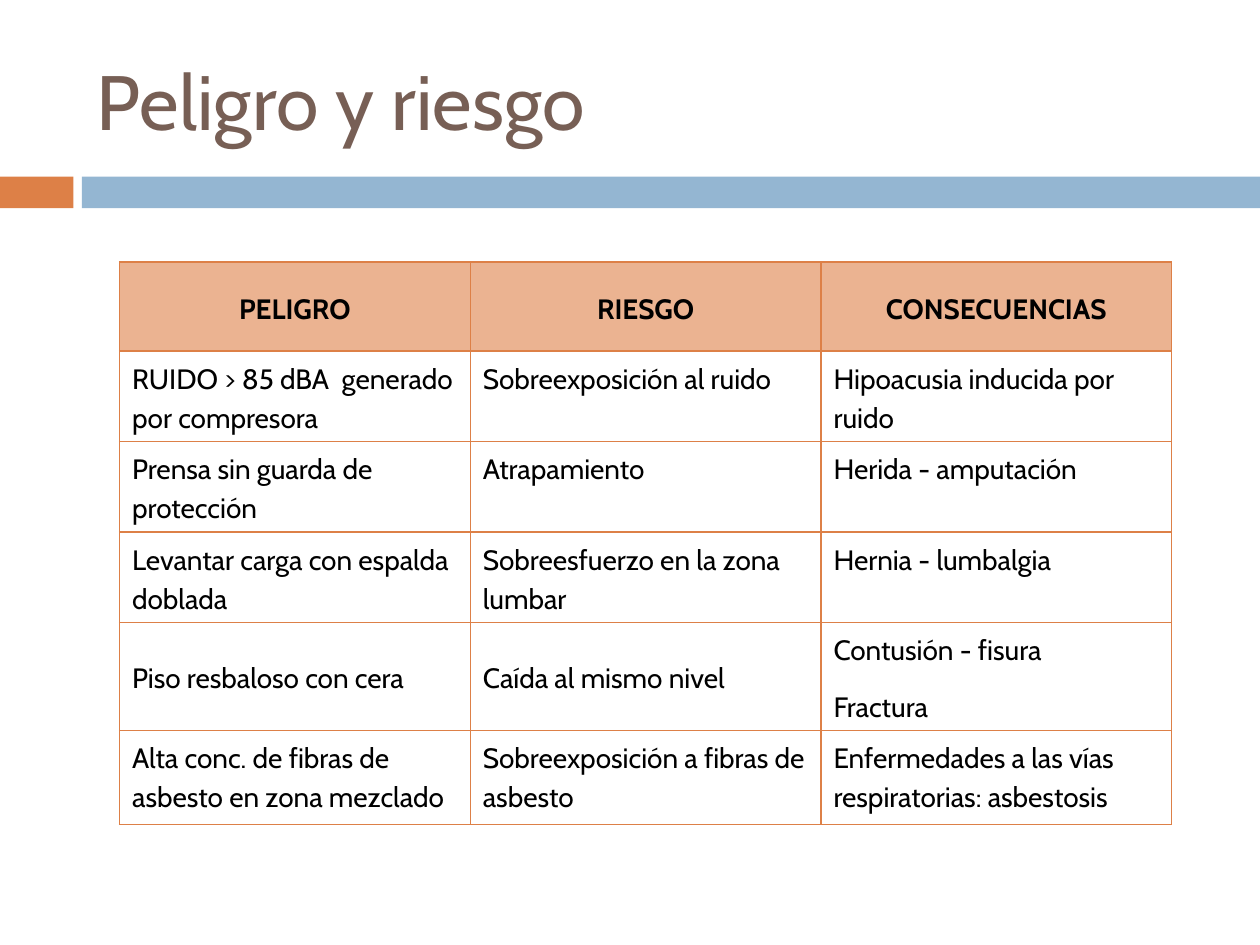
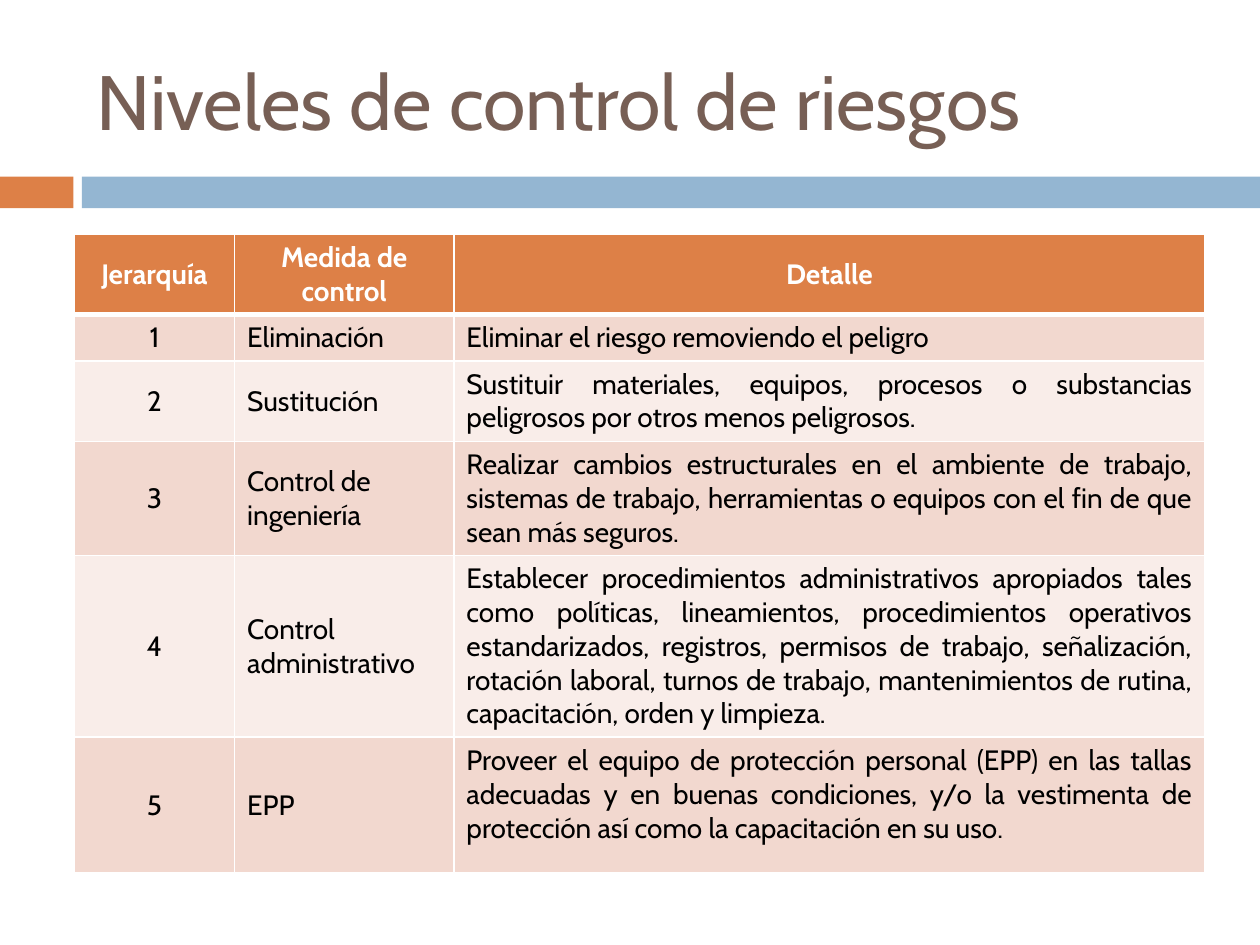
from dataclasses import dataclass

from lxml.etree import SubElement
from pptx import Presentation
from pptx.dml.color import RGBColor as Color
from pptx.enum.shapes import MSO_SHAPE as Shape
from pptx.enum.text import MSO_ANCHOR as Anchor, PP_ALIGN as Align
from pptx.oxml.ns import qn
from pptx.util import Cm, Pt


@dataclass(frozen=True)
class Theme:
    font: str = "Cabin"
    title_size: int = 44
    table_size: int = 16
    title: str = "775F55"
    orange: str = "DD8047"
    blue: str = "94B6D2"
    peach: str = "EBB391"
    band_dark: str = "F2D8CF"
    band_light: str = "F9EDE9"
    black: str = "000000"
    white: str = "FFFFFF"


theme = Theme()


def add_table_page(title, left, top, widths, heights, rows):
    """Add a page with its title and an unstyled table; return the table."""
    page = deck.slides.add_slide(layout)
    page.shapes.title.text_frame.text = title
    para = page.shapes.title.text_frame.paragraphs[0]
    para.alignment = Align.LEFT
    para.font.name = theme.font
    para.font.size = Pt(theme.title_size)
    para.font.color.rgb = Color.from_string(theme.title)
    frame = page.shapes.add_table(len(rows), len(widths), Cm(left), Cm(top),
                                  Cm(sum(widths)), Cm(sum(heights)))
    table = frame.table
    table.horz_banding = False
    for column, width in zip(table.columns, widths):
        column.width = Cm(width)
    for row, height, texts in zip(table.rows, heights, rows):
        row.height = Cm(height)
        for cell, text in zip(row.cells, texts):
            cell.text_frame.text = text
    return table


def style_cell(cell, anchor, align, color, bold, fill, border, thick_side=None):
    """Format text, fill and borders; thick_side is drawn 3 pt wide."""
    cell.vertical_anchor = anchor
    for para in cell.text_frame.paragraphs:
        para.alignment = align
        for span in para.runs:
            span.font.name = theme.font
            span.font.size = Pt(theme.table_size)
            span.font.bold = bold
            span.font.color.rgb = Color.from_string(color)
    properties = cell._tc.get_or_add_tcPr()
    for side in "LRTB":
        width = Pt(3 if side == thick_side else 1)
        line = SubElement(properties, qn(f"a:ln{side}"), w=str(width))
        solid = SubElement(line, qn("a:solidFill"))
        SubElement(solid, qn("a:srgbClr"), val=border)
    if fill:
        cell.fill.solid()
        cell.fill.fore_color.rgb = Color.from_string(fill)
    else:
        cell.fill.background()


deck = Presentation()
deck.slide_width, deck.slide_height = Cm(25.4), Cm(19.05)

# Shared layout: title position and the two bands below it
layout = deck.slide_layouts.get_by_name("Title Only")
for holder in list(layout.placeholders):
    if holder.placeholder_format.idx == 0:
        holder.left, holder.top = Cm(1.7), Cm(0.64)
        holder.width, holder.height = Cm(22.66), Cm(2.74)
        holder.text_frame.vertical_anchor = Anchor.MIDDLE
    else:
        holder.element.getparent().remove(holder.element)

# Page 1: hazards, risks and consequences
hazard_rows = [
    ("PELIGRO", "RIESGO", "CONSECUENCIAS"),
    ("RUIDO > 85 dBA  generado por compresora", "Sobreexposición al ruido",
     "Hipoacusia inducida por ruido"),
    ("Prensa sin guarda de protección", "Atrapamiento", "Herida - amputación"),
    ("Levantar carga con espalda doblada", "Sobreesfuerzo en la zona lumbar",
     "Hernia - lumbalgia"),
    ("Piso resbaloso con cera", "Caída al mismo nivel",
     "Contusión - fisura\nFractura"),
    ("Alta conc. de fibras de asbesto en zona mezclado",
     "Sobreexposición a fibras de asbesto",
     "Enfermedades a las vías respiratorias: asbestosis"),
]
hazards = add_table_page("Peligro y riesgo", 2.41, 5.28, [7.07] * 3,
                         [1.8] * 5 + [1.9], hazard_rows)
for row_index, row in enumerate(hazards.rows):
    header = row_index == 0
    for column_index, cell in enumerate(row.cells):
        centred = header or (row_index == 4 and column_index < 2)
        style_cell(cell, Anchor.MIDDLE if centred else Anchor.TOP,
                   Align.CENTER if header else Align.LEFT, theme.black, header,
                   theme.peach if header else None, theme.orange)
        for para in cell.text_frame.paragraphs:
            para.line_spacing = 1.15
            para.space_after = Pt(10)

# The bands are drawn on the first page, then moved to the layout
first_page = deck.slides[0]
for left, width, color in ((0, 1.48, theme.orange), (1.65, 23.75, theme.blue)):
    band = first_page.shapes.add_shape(Shape.RECTANGLE, Cm(left), Cm(3.56),
                                       Cm(width), Cm(0.64))
    band.shadow.inherit = False
    band.fill.solid()
    band.fill.fore_color.rgb = Color.from_string(color)
    band.line.fill.background()
    layout.shapes.element.append(band.element)

# Page 2: hierarchy of controls
control_rows = [
    ("Jerarquía", "Medida de control", "Detalle"),
    ("1", "Eliminación", "Eliminar el riesgo removiendo el peligro"),
    ("2", "Sustitución",
     "Sustituir materiales, equipos, procesos o substancias peligrosos por "
     "otros menos peligrosos."),
    ("3", "Control de ingeniería",
     "Realizar cambios estructurales en el ambiente de trabajo, sistemas de "
     "trabajo, herramientas o equipos con el fin de que sean más seguros."),
    ("4", "Control administrativo",
     "Establecer procedimientos administrativos apropiados tales como "
     "políticas, lineamientos, procedimientos operativos estandarizados, "
     "registros, permisos de trabajo, señalización, rotación laboral, turnos "
     "de trabajo, mantenimientos de rutina, capacitación, orden y limpieza."),
    ("5", "EPP",
     "Proveer el equipo de protección personal (EPP) en las tallas adecuadas "
     "y en buenas condiciones, y/o la vestimenta de protección así como la "
     "capacitación en su uso."),
]
controls = add_table_page("Niveles de control de riesgos", 1.5, 4.72,
                          [3.23, 4.42, 15.14],
                          [1.47, 0.86, 1.47, 2.11, 3.38, 2.74], control_rows)
column_aligns = (Align.CENTER, Align.LEFT, Align.JUSTIFY)
for row_index, row in enumerate(controls.rows):
    band_fill = theme.band_dark if row_index % 2 else theme.band_light
    for column_index, cell in enumerate(row.cells):
        if row_index == 0:
            style_cell(cell, Anchor.MIDDLE, Align.CENTER, theme.white, True,
                       theme.orange, theme.white, "B")
        else:
            style_cell(cell, Anchor.TOP if column_index == 2 else Anchor.MIDDLE,
                       column_aligns[column_index], theme.black, False,
                       band_fill, theme.white, "T" if row_index == 1 else None)

deck.save("out.pptx")
